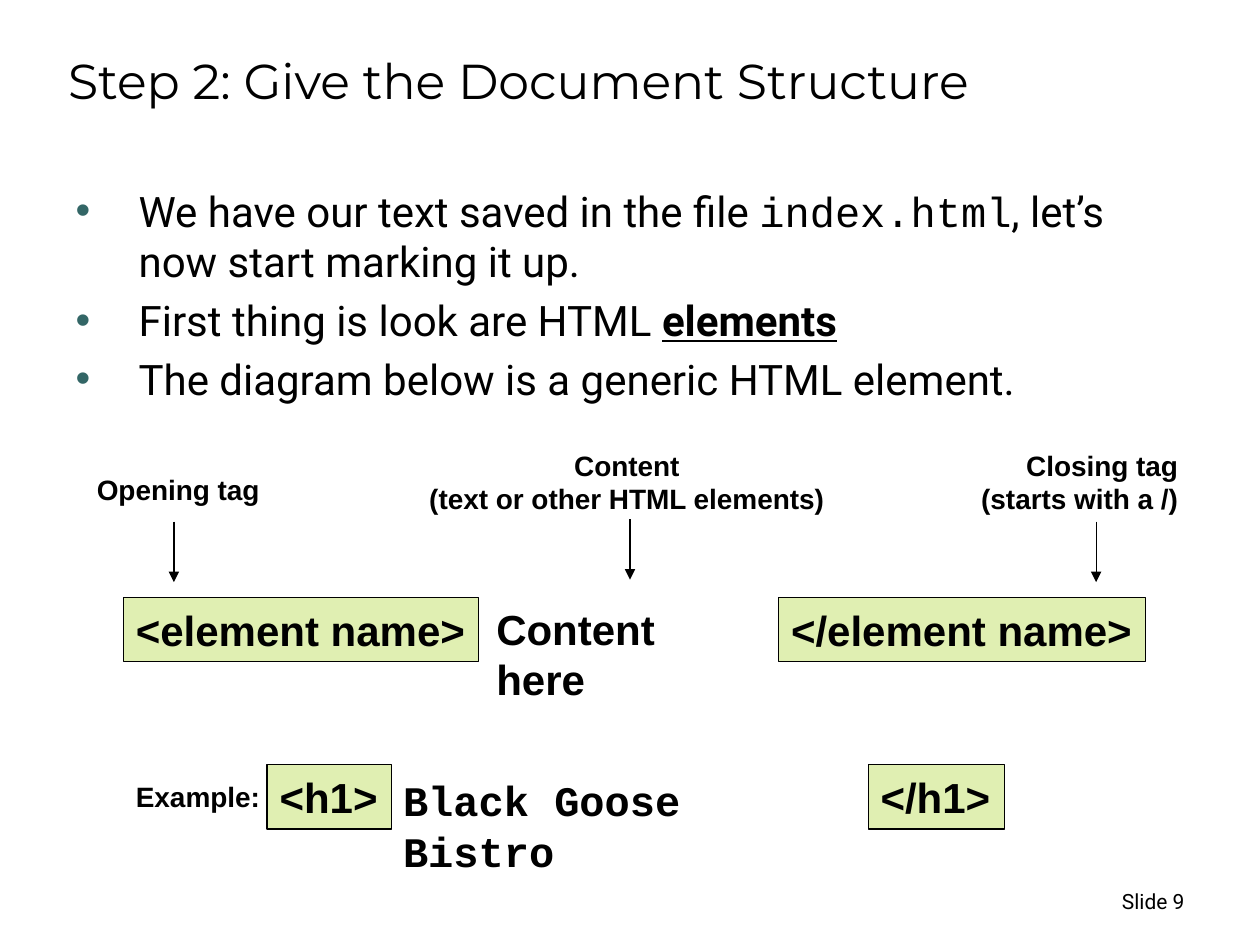
import pptx
import pptx.util
import pptx.dml.color
import pptx.enum.shapes
import pptx.enum.text
import pptx.oxml
import pptx.oxml.ns
from lxml import etree

Inches, Pt = pptx.util.Inches, pptx.util.Pt
ALIGN = pptx.enum.text.PP_ALIGN
ANCHOR = pptx.enum.text.MSO_ANCHOR
COLORS = {"ink": "000000", "tag": "99CC00", "bullet": "336666"}


def rgb(name):
    return pptx.dml.color.RGBColor.from_string(COLORS[name])


def add_xml(parent, tag, **attrs):
    return etree.SubElement(parent, pptx.oxml.ns.qn(tag), **attrs)


class Page:
    def __init__(self, deck):
        self.slide = deck.slides.add_slide(deck.slide_layouts[1])
        self.shapes = self.slide.shapes

    def font(self, para, size, face="Arial", bold=False):
        font = para.font
        font.size, font.name, font.bold = Pt(size), face, bold
        font.color.rgb = rgb("ink")

    def place(self, shape, left, top, width, height):
        shape.left, shape.top = Inches(left), Inches(top)
        shape.width, shape.height = Inches(width), Inches(height)

    def title(self, text, *box):
        shape = self.shapes.title
        self.place(shape, *box)
        frame = shape.text_frame
        frame.text = text
        frame.vertical_anchor = ANCHOR.BOTTOM
        frame.auto_size = pptx.enum.text.MSO_AUTO_SIZE.NONE
        para = frame.paragraphs[0]
        para.alignment = ALIGN.LEFT
        self.font(para, 28, "Montserrat")

    def bullets(self, items, *box):
        """Fill the body; each item is a list of (text, style) runs."""
        shape = self.slide.placeholders[1]
        self.place(shape, *box)
        frame = shape.text_frame
        frame.auto_size = pptx.enum.text.MSO_AUTO_SIZE.NONE
        for i, item in enumerate(items):
            para = frame.add_paragraph() if i else frame.paragraphs[0]
            para.space_before = Pt(4.8)
            props = para._p.get_or_add_pPr()
            props.set("marL", str(Inches(0.5)))
            props.set("indent", str(-Inches(0.5)))
            color = add_xml(props, "a:buClr")
            add_xml(color, "a:srgbClr", val=COLORS["bullet"])
            add_xml(props, "a:buFont", typeface="Arial")
            add_xml(props, "a:buChar", char="•")
            self.font(para, 24, "Roboto")
            for text, style in item:
                run = para.add_run()
                run.text = text
                if style == "code":
                    run.font.name = "Courier New"
                elif style == "key":
                    run.font.bold = run.font.underline = True

    def set_text(self, shape, text, size, align, face="Arial", bold=True,
                 wrap=False):
        frame = shape.text_frame
        frame.text = text
        frame.word_wrap = wrap
        for para in frame.paragraphs:
            para.alignment = align
            self.font(para, size, face, bold)
        return frame

    def label(self, text, box, size=16, align=ALIGN.LEFT, **style):
        shape = self.shapes.add_textbox(*map(Inches, box))
        return self.set_text(shape, text, size, align, **style)

    def tag(self, text, left, top, width):
        shape = self.shapes.add_shape(
            pptx.enum.shapes.MSO_SHAPE.RECTANGLE,
            *map(Inches, (left, top, width, 0.51)))
        shape.shadow.inherit = False
        shape.fill.solid()
        shape.fill.fore_color.rgb = rgb("tag")
        color = shape._element.spPr.find(".//" + pptx.oxml.ns.qn("a:srgbClr"))
        add_xml(color, "a:alpha", val="30000")
        shape.line.color.rgb = rgb("ink")
        shape.line.width = Pt(0.75)
        self.set_text(shape, text, 24, ALIGN.LEFT)

    def arrow(self, x, top):
        line = self.shapes.add_connector(
            pptx.enum.shapes.MSO_CONNECTOR.STRAIGHT,
            *map(Inches, (x, top, x, top + 0.48)))
        line.line.color.rgb = rgb("ink")
        line.line.width = Pt(0.75)
        props = line._element.spPr
        add_xml(props.find(pptx.oxml.ns.qn("a:ln")), "a:tailEnd",
                type="triangle")
        add_xml(props, "a:effectLst")


def main():
    deck = pptx.Presentation()
    deck.slide_width, deck.slide_height = Inches(10), Inches(7.5)
    page = Page(deck)
    page.title("Step 2: Give the Document Structure", 0.44, 0.25, 8.5, 0.67)
    page.bullets([
        [("We have our text saved in the file ", ""), ("index.html", "code"),
         (", let’s now start marking it up.", "")],
        [("First thing is look are HTML ", ""), ("elements", "key")],
        [("The diagram below is a generic HTML element.", "")],
    ], 0.5, 1.42, 8.94, 1.94)

    for text, left, top, width in [
            ("<element name>", 0.98, 4.74, 2.82),
            ("</element name>", 6.18, 4.74, 2.91),
            ("<h1>", 2.12, 6.07, 0.99),
            ("</h1>", 6.89, 6.07, 1.08)]:
        page.tag(text, left, top, width)
    page.label("Content here", (3.84, 4.74, 2.25, 0.5), 24)

    page.label("Opening tag", (0.67, 3.7, 1.49, 0.37))
    page.label("Content\n(text or other HTML elements)",
               (3.3, 3.51, 3.35, 0.64), align=ALIGN.CENTER)
    page.label("Closing tag\n(starts with a /)",
               (7.68, 3.51, 1.77, 0.64), align=ALIGN.RIGHT)
    for x, top in [(1.38, 4.14), (5, 4.12), (8.7, 4.14)]:
        page.arrow(x, top)

    page.label("Example:", (0.98, 6.14, 1.19, 0.37))
    page.label("Black Goose Bistro", (3.1, 6.1, 3.75, 0.5), 24,
               face="Courier New", wrap=True)
    number = page.label("Slide 9", (7.17, 6.95, 2.33, 0.4), 12, ALIGN.RIGHT,
                        face="Roboto", bold=False, wrap=True)
    number.vertical_anchor = ANCHOR.MIDDLE
    deck.save("out.pptx")


if __name__ == "__main__":
    main()
